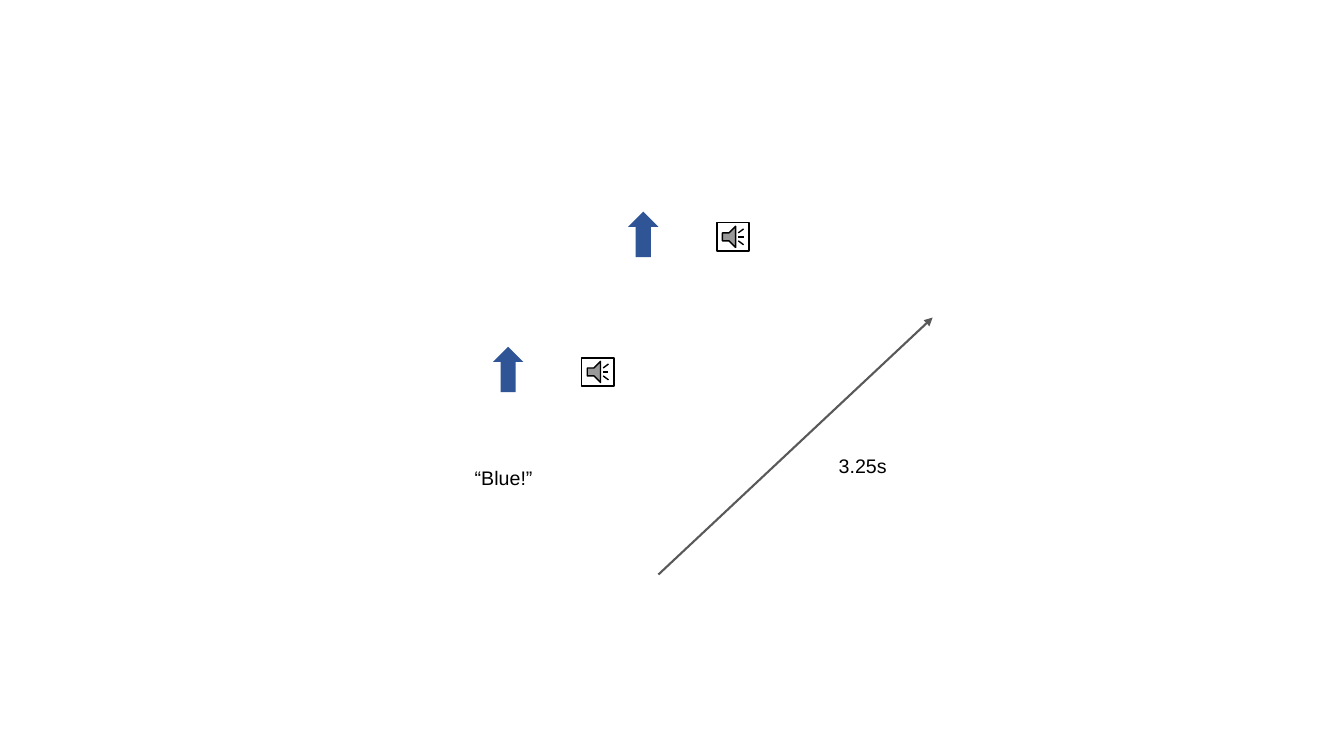
from lxml import etree
from pptx import Presentation
from pptx.dml.color import RGBColor
from pptx.enum import shapes, text
from pptx.oxml.ns import qn
from pptx.util import Inches, Pt

BLACK = RGBColor(0x00, 0x00, 0x00)
WHITE = RGBColor(0xFF, 0xFF, 0xFF)
GRAY = RGBColor(0x59, 0x59, 0x59)
BLUE = RGBColor(0x2F, 0x55, 0x97)

prs = Presentation()
prs.slide_width, prs.slide_height = Inches(13.33), Inches(7.5)
s = prs.slides.add_slide(prs.slide_layouts[6])

# Time axis
axis = s.shapes.add_connector(shapes.MSO_CONNECTOR.STRAIGHT, Inches(6.53),
                              Inches(5.7), Inches(9.25), Inches(3.15))
axis.line.color.rgb = GRAY
axis.line.width = Pt(1.5)
etree.SubElement(axis.line._get_or_add_ln(), qn("a:tailEnd"), type="triangle")
etree.SubElement(axis._element.spPr, qn("a:effectLst"))

# Labels
label_font = {"name": "Arial", "size": Pt(14)}
for label, x, y, w in [("3.25s", 8.22, 4.45, 1.12), ("“Blue!”", 4.61, 4.57, 0.78)]:
    box = s.shapes.add_textbox(Inches(x), Inches(y), Inches(w), Inches(0.34))
    tf = box.text_frame
    tf.word_wrap = True
    tf.auto_size = text.MSO_AUTO_SIZE.SHAPE_TO_FIT_TEXT
    r = tf.paragraphs[0].add_run()
    r.text = label
    for key, value in label_font.items():
        setattr(r.font, key, value)
    r.font.color.rgb = BLACK

# Each stimulus: a blue arrow with a sound icon to its right
for x, y in [(4.89, 3.44), (6.23, 2.1)]:
    arrow = s.shapes.add_shape(shapes.MSO_SHAPE.UP_ARROW, Inches(x), Inches(y),
                               Inches(0.3), Inches(0.45))
    arrow.shadow.inherit = False
    arrow.fill.solid()
    arrow.fill.fore_color.rgb = BLUE
    arrow.line.fill.background()

    sound = s.shapes.add_shape(shapes.MSO_SHAPE.ACTION_BUTTON_SOUND, Inches(x + 0.88),
                               Inches(y + 0.11), Inches(0.32), Inches(0.28))
    sound.shadow.inherit = False
    sound.fill.solid()
    sound.fill.fore_color.rgb = WHITE
    sound.line.color.rgb = BLACK
    sound.line.width = Pt(1)

prs.save("out.pptx")
